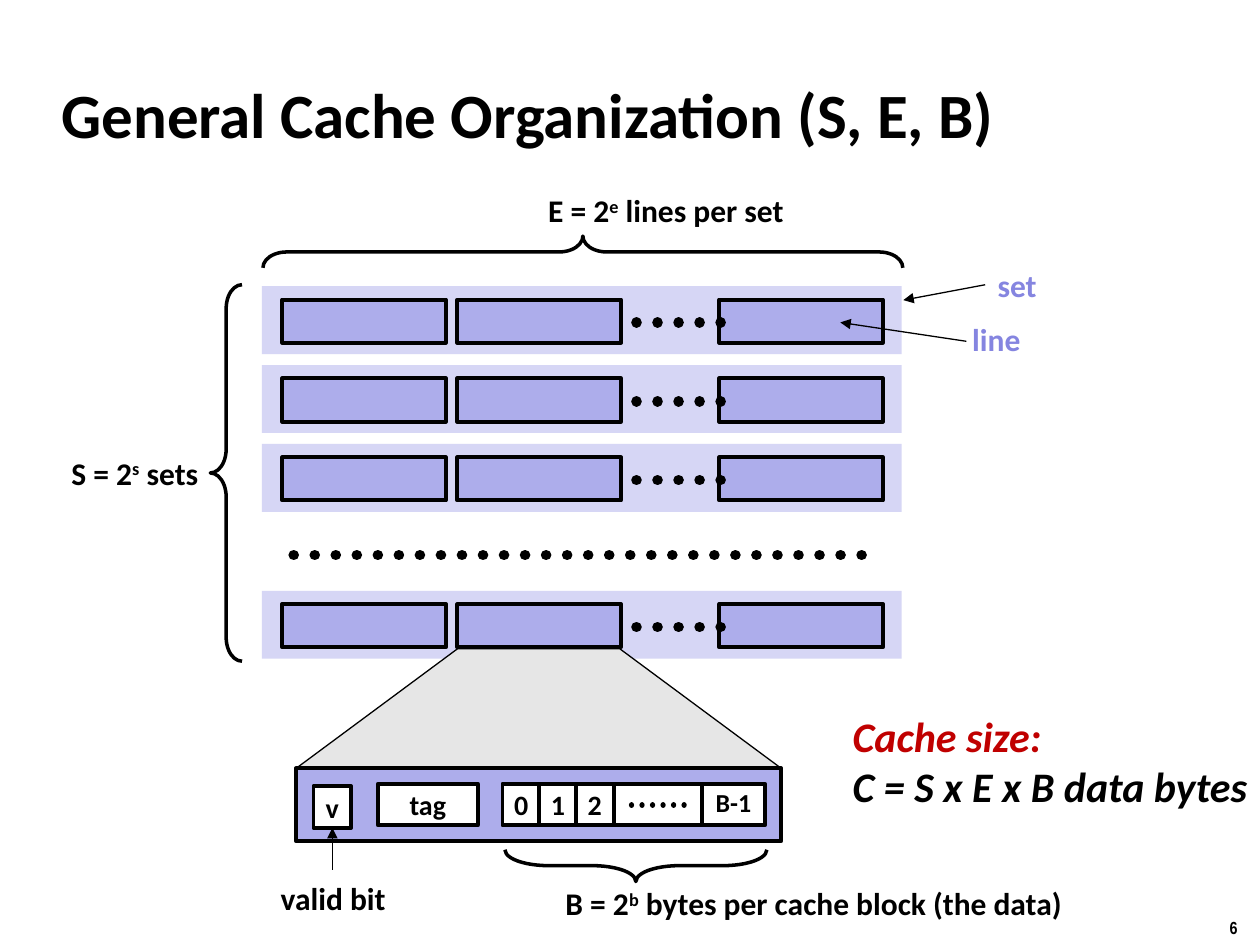
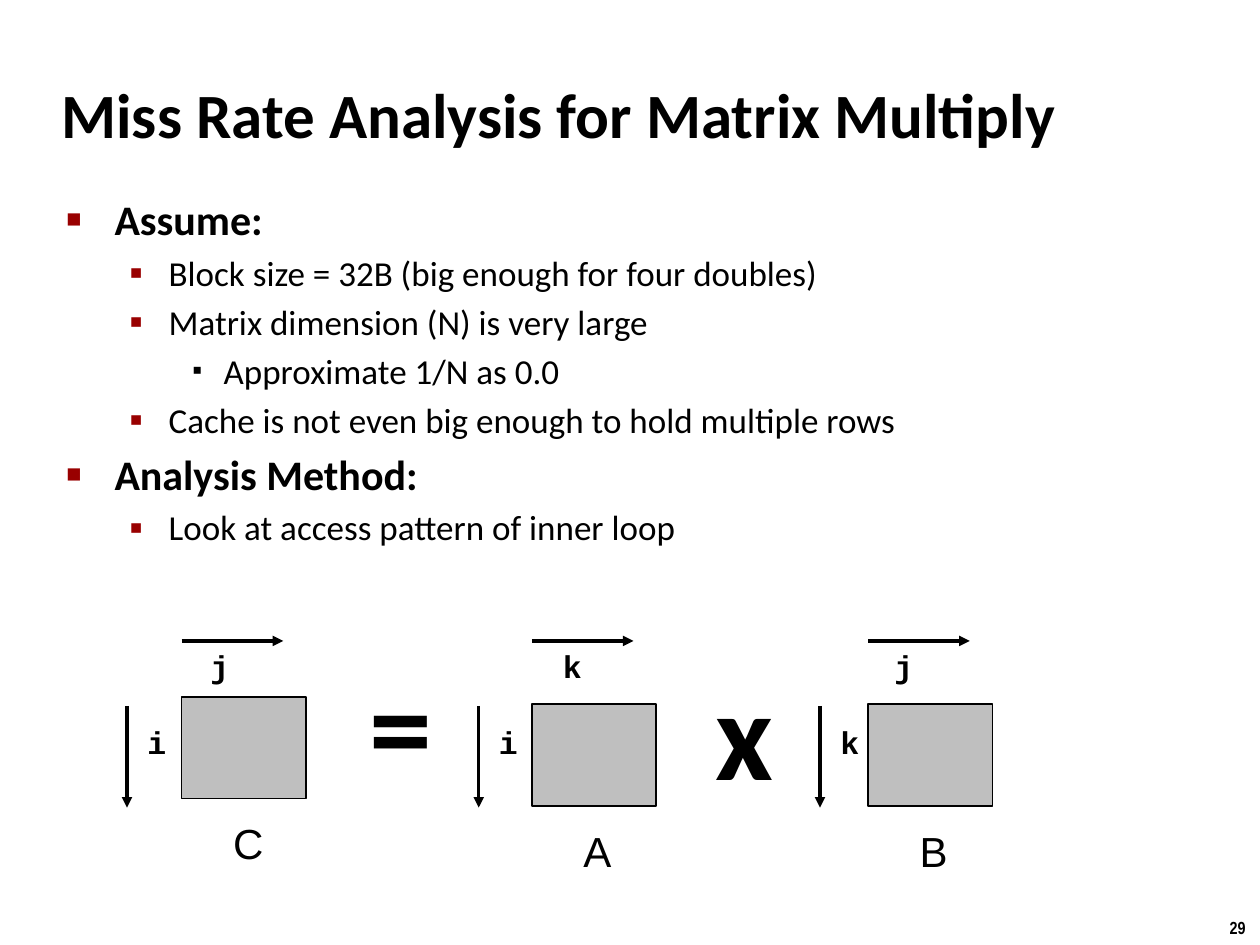
"""Build two lecture slides on cache organization and matrix multiply."""
from lxml import etree
from pptx import Presentation
from pptx.dml.color import RGBColor
from pptx.enum import dml, shapes, text
from pptx.oxml.ns import qn
from pptx.util import Cm, Pt

BLACK = RGBColor(0x00, 0x00, 0x00)
WHITE = RGBColor(0xFF, 0xFF, 0xFF)
SET = RGBColor(0xD6, 0xD6, 0xF5)
LINE = RGBColor(0xAD, 0xAD, 0xEB)
LABEL = RGBColor(0x85, 0x85, 0xE0)
ZOOM = RGBColor(0xE6, 0xE6, 0xE6)
MATRIX = RGBColor(0xBF, 0xBF, 0xBF)
RED = RGBColor(0xC0, 0x00, 0x00)
BULLET_RED = "990000"

KIND = shapes.MSO_SHAPE
MIDDLE = text.MSO_ANCHOR.MIDDLE
CENTER = text.PP_ALIGN.CENTER

# level: (margin, hanging, character, size %, colour, text size, bold)
LEVELS = [
    (0.97, 0.97, "■", 60, BULLET_RED, 24, True),
    (2.06, 0.79, "▪", 110, BULLET_RED, 20, False),
    (3.17, 0.63, "▪", 80, None, 20, False),
]


def write(tf, txt, size=18, font="Calibri", color=BLACK, bold=True,
          italic=False, align=None, spacing=None):
    """Add a paragraph; parts between ^ marks are superscript."""
    p = tf.paragraphs[0]
    if p.runs:
        p = tf.add_paragraph()
    p.alignment = align
    p.line_spacing = spacing
    for i, part in enumerate(txt.split("^")):
        r = p.add_run()
        r.text = part
        f = r.font
        f.size, f.name, f.bold, f.italic = Pt(size), font, bold, italic
        f.color.rgb = color
        if i % 2:
            r._r.get_or_add_rPr().set("baseline", "30000")
    return p


class Deck:
    """Hold the shared style and the current slide."""

    def __init__(self):
        self.prs = Presentation()
        self.prs.slide_width, self.prs.slide_height = Cm(25.4), Cm(19.05)
        self.s = None

    def slide(self, title, number):
        """Start a slide with its title and page number."""
        self.s = self.prs.slides.add_slide(self.prs.slide_layouts[6])
        self.label(24.54, 18.36, 0.86, 0.69, str(number), size=10,
                   font="Arial Narrow")
        tf = self.frame(0.99, 1.22, 21.08, 2.11)
        tf.vertical_anchor = MIDDLE
        write(tf, title, size=36)

    def frame(self, x, y, w, h):
        """Add a wrapping text box and return its frame."""
        tf = self.s.shapes.add_textbox(Cm(x), Cm(y), Cm(w), Cm(h)).text_frame
        tf.word_wrap = True
        return tf

    def label(self, x, y, w, h, txt, wrap=False, **fmt):
        """Add a text box that grows with its text."""
        sp = self.s.shapes.add_textbox(Cm(x), Cm(y), Cm(w), Cm(h))
        tf = sp.text_frame
        tf.word_wrap = wrap
        tf.auto_size = text.MSO_AUTO_SIZE.SHAPE_TO_FIT_TEXT
        write(tf, txt, **fmt)
        return sp

    def box(self, x, y, w, h, fill=None, line=2.25, txt=None,
            kind=KIND.RECTANGLE, **fmt):
        """Add a preset shape, with centred text if given."""
        sp = self.s.shapes.add_shape(kind, Cm(x), Cm(y), Cm(w), Cm(h))
        sp.shadow.inherit = False
        if fill is None:
            sp.fill.background()
        else:
            sp.fill.solid()
            sp.fill.fore_color.rgb = fill
        if line:
            sp.line.color.rgb = BLACK
            sp.line.width = Pt(line)
        else:
            sp.line.fill.background()
        if txt:
            tf = sp.text_frame
            tf.word_wrap = False
            tf.vertical_anchor = MIDDLE
            write(tf, txt, align=CENTER, **{"size": 16, **fmt})
        return sp

    def brace(self, x, y, w, h, bend, rotation=0):
        """Add a curly brace."""
        sp = self.box(x, y, w, h, line=2, kind=KIND.LEFT_BRACE)
        sp.adjustments[0] = bend
        sp.rotation = rotation

    def line(self, x1, y1, x2, y2, width=0.75, arrow=False, dots=False):
        """Add a straight line, arrow or row of round dots."""
        c = self.s.shapes.add_connector(shapes.MSO_CONNECTOR.STRAIGHT,
                                        Cm(x1), Cm(y1), Cm(x2), Cm(y2))
        c.line.color.rgb = BLACK
        c.line.width = Pt(width)
        ln = c.line._get_or_add_ln()
        if dots:
            c.line.dash_style = dml.MSO_LINE.ROUND_DOT
            ln.set("cap", "rnd")
        if arrow:
            etree.SubElement(ln, qn("a:tailEnd"), type="triangle")
        etree.SubElement(c._element.spPr, qn("a:effectLst"))
        return c

    def bullets(self, x, y, w, h, items):
        """Add a bulleted list of (level, text) pairs."""
        tf = self.frame(x, y, w, h)
        for i, (level, txt) in enumerate(items):
            margin, hang, char, pct, color, size, bold = LEVELS[level]
            p = write(tf, txt, size=size, bold=bold)
            if i:
                p.space_before = Pt(size * 0.2)
            pPr = p._p.get_or_add_pPr()
            pPr.set("marL", str(Cm(margin)))
            pPr.set("indent", str(-Cm(hang)))
            if color:
                clr = etree.SubElement(pPr, qn("a:buClr"))
                etree.SubElement(clr, qn("a:srgbClr"), val=color)
            etree.SubElement(pPr, qn("a:buSzPct"), val=str(pct * 1000))
            etree.SubElement(pPr, qn("a:buFont"), typeface="Arial")
            etree.SubElement(pPr, qn("a:buChar"), char=char)


def cache_slide(d):
    """Draw the sets, lines and blocks of a cache."""
    d.slide("General Cache Organization (S, E, B)", 6)
    d.brace(11.43, -1.37, 0.64, 12.9, 0.75, rotation=90)
    d.brace(4.24, 5.74, 0.64, 7.59, 0.75)
    d.label(10.8, 3.73, 5.44, 1.02, "E = 2^e^ lines per set")
    d.label(1.19, 9.02, 3.12, 1.02, "S = 2^s^ sets")

    for top in [5.77 + 1.59 * i for i in range(3)] + [11.91]:
        d.box(5.28, top, 12.9, 1.37, SET, line=0)
        for x in (5.69, 9.22, 14.5):
            d.box(x, top + 0.27, 3.3, 0.87, LINE)
        d.line(12.83, top + 0.73, 14.53, top + 0.73, width=6, dots=True)
    d.line(5.92, 11.19, 17.78, 11.19, width=6, dots=True)

    sp = d.label(19.86, 5.23, 1.3, 1.02, "set", color=LABEL)
    sp.text_frame.vertical_anchor = MIDDLE
    d.line(19.86, 5.74, 18.21, 6.05, arrow=True).begin_connect(sp, 1)
    d.label(19.35, 6.32, 1.5, 1.02, "line", color=LABEL)
    d.line(19.48, 6.88, 16.94, 6.5, arrow=True)

    zoom = d.box(5.97, 13.08, 9.78, 2.41, ZOOM, 0.75, kind=KIND.TRAPEZOID)
    zoom.adjustments[0] = 1.35
    d.box(5.97, 15.49, 9.78, 1.47, LINE)
    for i in range(3):
        d.box(10.13 + 0.74 * i, 15.8, 0.76, 0.84, WHITE, txt=str(i))
    d.box(14.15, 15.8, 1.27, 0.84, WHITE, txt="B-1", size=14.8, spacing=0.9)
    d.box(12.37, 15.8, 1.78, 0.84, WHITE)
    d.line(12.73, 16.23, 14, 16.23, width=3, dots=True)
    d.box(7.62, 15.8, 2.01, 0.84, WHITE, txt="tag")
    valid = d.box(6.32, 15.85, 0.76, 0.84, WHITE, txt="v")
    d.line(6.7, 17.53, 6.7, 16.69, arrow=True).end_connect(valid, 2)
    d.label(5.41, 17.6, 2.64, 1.02, "valid bit")

    d.brace(12.5, 14.81, 0.64, 5.28, 1.37, rotation=270)
    d.label(11.15, 17.7, 10.9, 1.02,
            "B = 2^b^ bytes per cache block (the data)")
    sp = d.label(16.94, 14.2, 8.76, 2.31, "Cache size:", size=24, color=RED,
                 italic=True)
    write(sp.text_frame, "C = S x E x B data bytes", size=24, italic=True)


def matrix_slide(d):
    """List the assumptions and draw C = A x B."""
    d.slide("Miss Rate Analysis for Matrix Multiply", 29)
    d.bullets(1.09, 3.78, 21.95, 13.82, [
        (0, "Assume:"),
        (1, "Block size = 32B (big enough for four doubles)"),
        (1, "Matrix dimension (N) is very large"),
        (2, "Approximate 1/N as 0.0"),
        (1, "Cache is not even big enough to hold multiple rows"),
        (0, "Analysis Method:"),
        (1, "Look at access pattern of inner loop"),
    ])
    side = 2.05
    for name, row, col, x, y, row_x, col_x in (
            ("C", "i", "j", 3.66, 14.05, 2.56, 3.99),
            ("A", "i", "k", 10.72, 14.2, 9.65, 11.1),
            ("B", "k", "j", 17.5, 14.2, 16.53, 17.78)):
        d.label(row_x + 0.16, 14.45, 0.89, 1.02, row, font="Courier New")
        d.label(col_x, 12.92, 0.89, 1.02, col, font="Courier New")
        d.box(x, y, 2.51, side, MATRIX, line=1)
        d.line(row_x, 14.23, row_x, 14.23 + side, width=2, arrow=True)
        d.line(x, 12.92, x + side, 12.92, width=2, arrow=True)
        d.label(x + 0.79, y + 2.31, 1.12, 1.27, name, size=24, font="Arial",
                bold=False)
    for sign, x, y in (("=", 7.19, 12.9), ("x", 14.17, 13.06)):
        d.label(x, y, 1.47, 6.4, sign, wrap=True, size=72)


def main():
    """Build and save the slides."""
    d = Deck()
    cache_slide(d)
    matrix_slide(d)
    d.prs.save("out.pptx")


if __name__ == "__main__":
    main()
